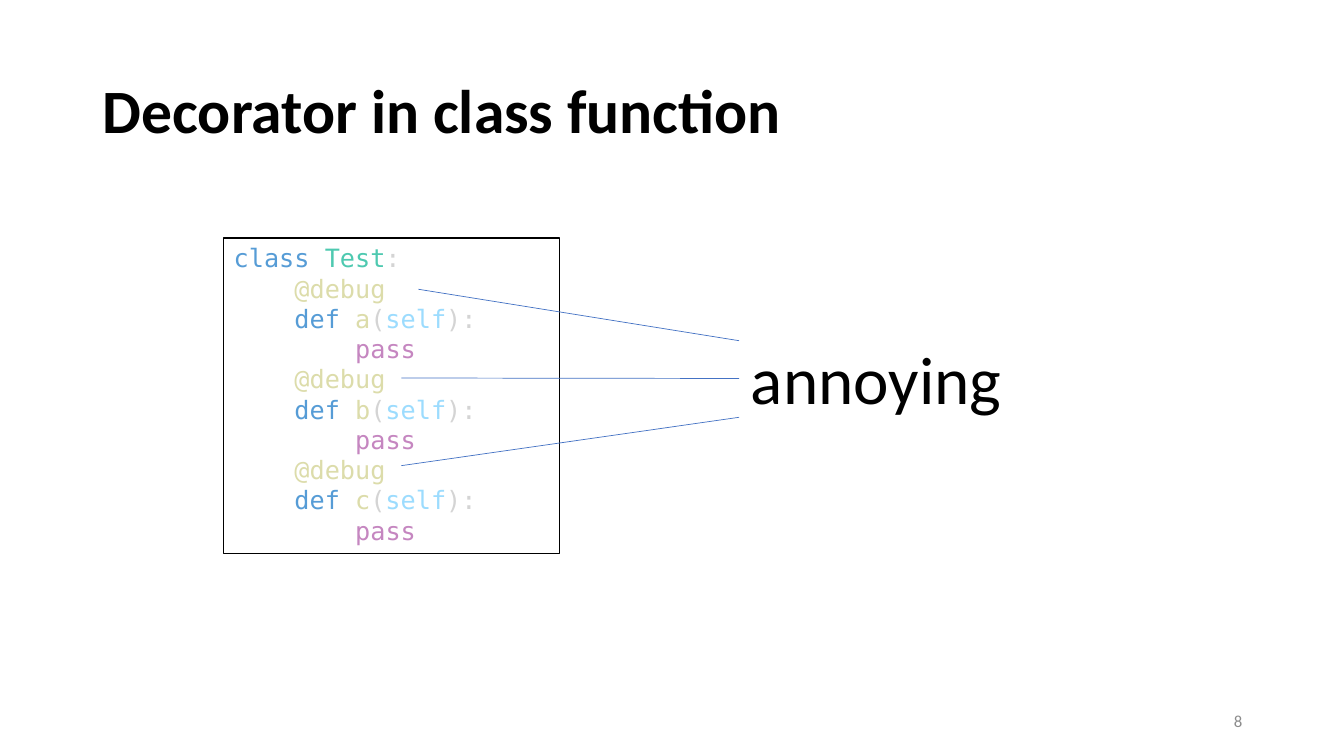
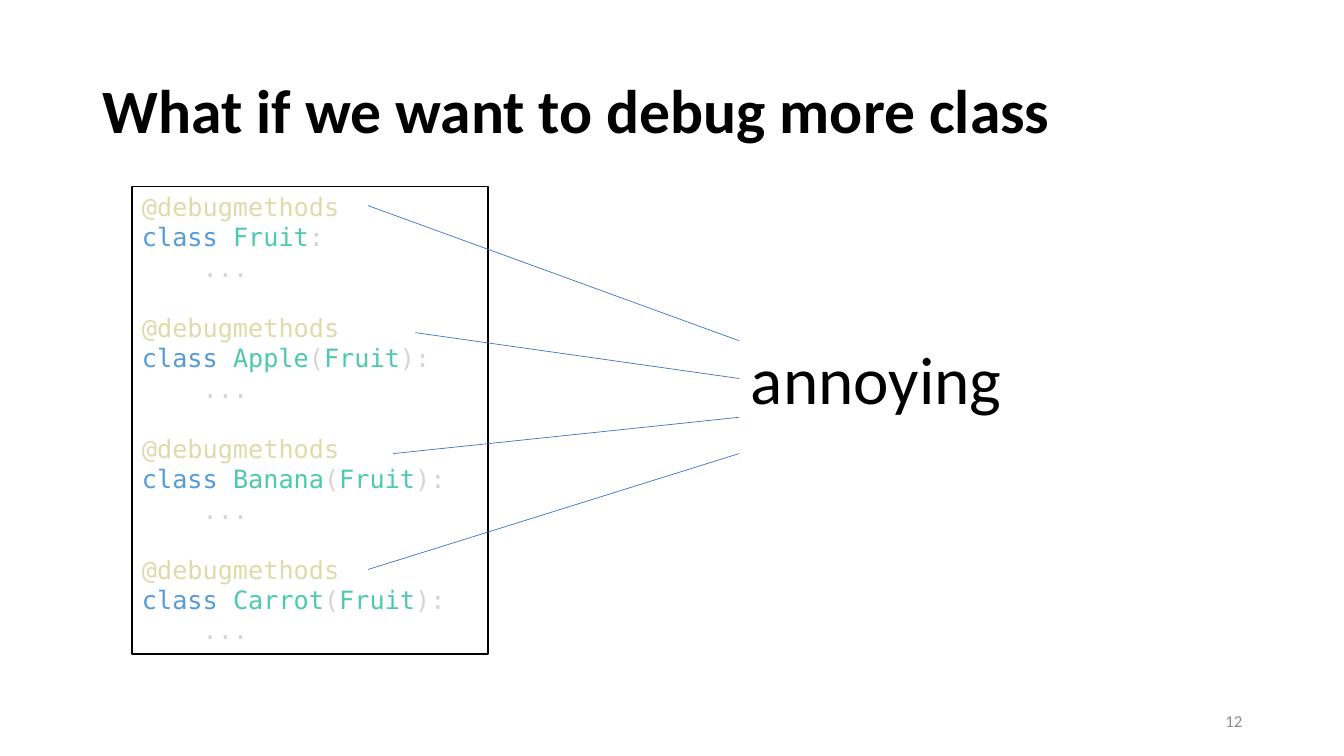
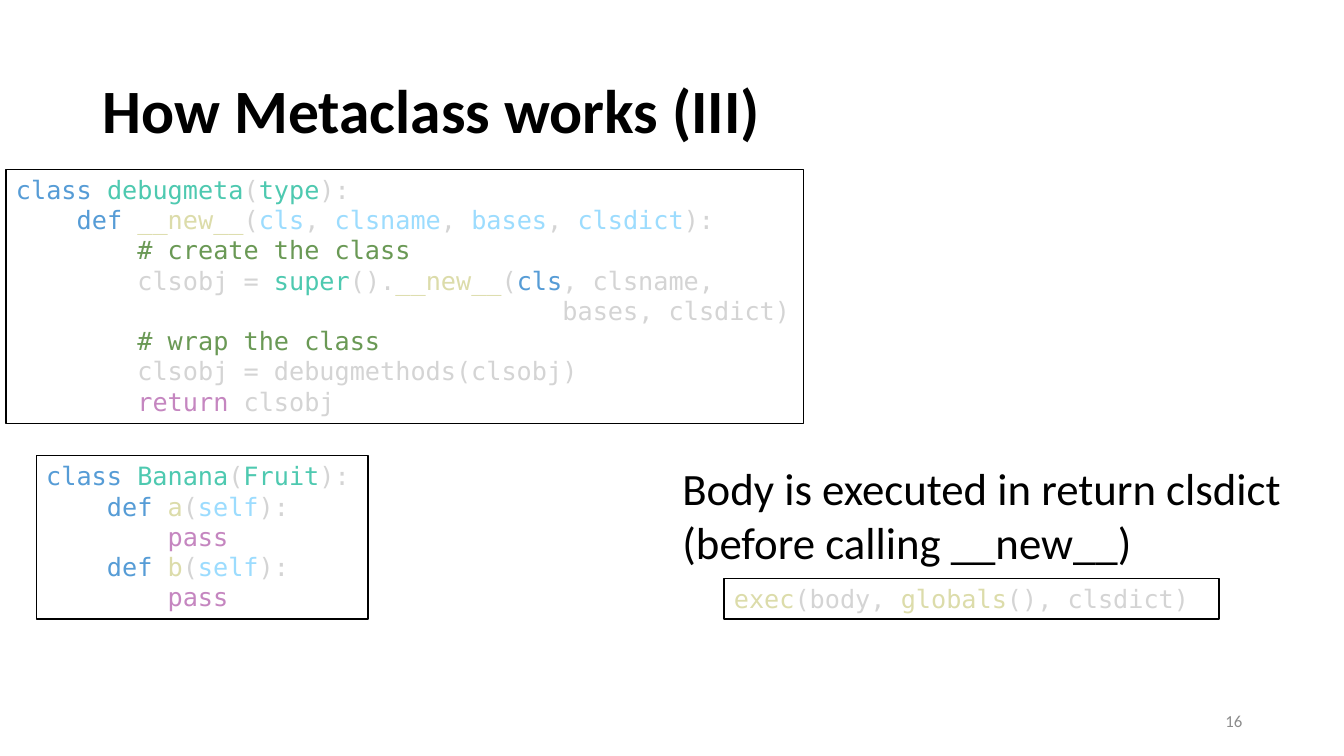
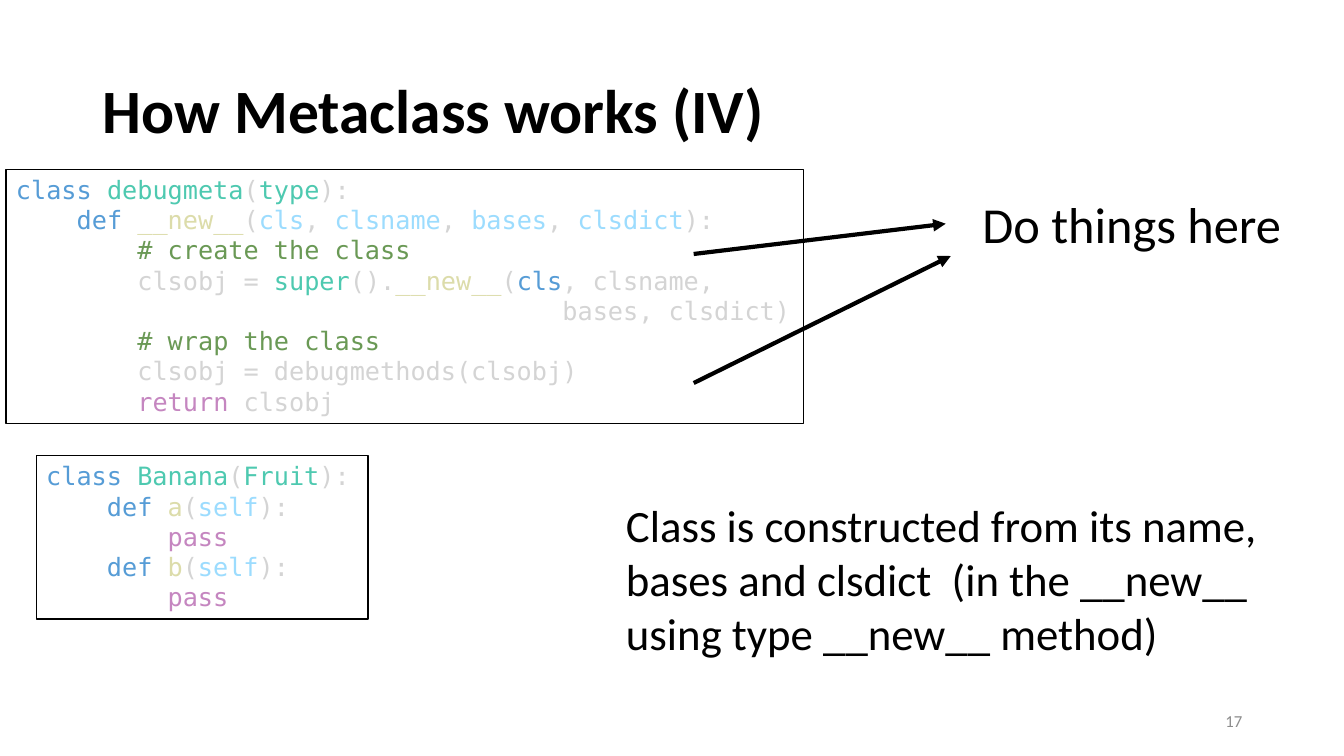
import pptx
import pptx.dml.color
import pptx.enum.shapes
import pptx.enum.text
import pptx.oxml
import pptx.oxml.ns
import pptx.util

Inches = pptx.util.Inches
Pt = pptx.util.Pt
ALIGN = pptx.enum.text.PP_ALIGN
ANCHOR = pptx.enum.text.MSO_ANCHOR
AUTO_SIZE = pptx.enum.text.MSO_AUTO_SIZE

BLACK = "000000"
BLUE = "4472C4"
GRAY = "8C8C8C"
KEYWORD = "569CD6"
TYPE = "4EC9B0"
FUNCTION = "DCDCAA"
PARAMETER = "9CDCFE"
CONTROL = "C586C0"
COMMENT = "6A9955"
PLAIN = "D4D4D4"

CHARACTER_WIDTH = 10.84
CODE_LINE = 21.6


def color(value):
    return pptx.dml.color.RGBColor.from_string(value)


def apply(target, values):
    for name, value in values.items():
        setattr(target, name, value)


def line(indent, *runs, before=0):
    return indent, before, runs


def method(name):
    return [
        line(4, ("def ", KEYWORD), (name, FUNCTION), ("(", PLAIN),
             ("self", PARAMETER), ("):", PLAIN)),
        line(8, ("pass", CONTROL)),
    ]


def class_head(name, base=None):
    if base is None:
        return line(0, ("class ", KEYWORD), (name, TYPE), (":", PLAIN))
    return line(0, ("class ", KEYWORD), (name, TYPE), ("(", PLAIN),
                (base, TYPE), ("):", PLAIN))


class Deck:
    text_font = "Calibri"
    code_font = "DejaVu Sans Mono"

    def __init__(self):
        self.presentation = pptx.Presentation()
        apply(self.presentation, {"slide_width": Inches(13.33), "slide_height": Inches(7.5)})
        self.slide = None

    def add_slide(self, title, number):
        self.slide = self.presentation.slides.add_slide(self.presentation.slide_layouts[6])
        self.text((0.92, 0.4, 11.5, 1.45), [title], 44, bold=True, spacing=0.9,
                  anchor=ANCHOR.MIDDLE, grow=False)
        self.text((9.42, 6.95, 3, 0.4), [str(number)], 12, fill=GRAY, align=ALIGN.RIGHT,
                  anchor=ANCHOR.MIDDLE, grow=False)

    def run(self, paragraph, text, fill, **font):
        run = paragraph.add_run()
        run.text = text
        apply(run.font, font)
        run.font.color.rgb = color(fill)

    def paragraphs(self, frame, count):
        return [frame.paragraphs[0]] + [frame.add_paragraph() for _ in range(count - 1)]

    def text(self, place, lines, size, fill=BLACK, bold=False, align=ALIGN.LEFT,
             anchor=ANCHOR.TOP, spacing=1.0, grow=True):
        shape = self.slide.shapes.add_textbox(*map(Inches, place))
        frame = shape.text_frame
        apply(frame, {
            "word_wrap": not grow,
            "auto_size": AUTO_SIZE.SHAPE_TO_FIT_TEXT if grow else AUTO_SIZE.NONE,
            "vertical_anchor": anchor,
        })
        for paragraph, words in zip(self.paragraphs(frame, len(lines)), lines):
            apply(paragraph, {"alignment": align, "line_spacing": spacing})
            self.run(paragraph, words, fill, name=self.text_font, size=Pt(size), bold=bold)
        return shape

    def code(self, place, lines):
        shape = self.slide.shapes.add_shape(
            pptx.enum.shapes.MSO_SHAPE.RECTANGLE, *map(Inches, place))
        shape.shadow.inherit = False
        shape.fill.background()
        shape.line.color.rgb = color(BLACK)
        shape.line.width = Pt(1)
        frame = shape.text_frame
        apply(frame, {
            "word_wrap": True,
            "auto_size": AUTO_SIZE.SHAPE_TO_FIT_TEXT,
            "vertical_anchor": ANCHOR.TOP,
        })
        for paragraph, (indent, before, runs) in zip(self.paragraphs(frame, len(lines)), lines):
            apply(paragraph, {
                "alignment": ALIGN.LEFT,
                "line_spacing": Pt(CODE_LINE),
                "space_before": Pt(before),
            })
            properties = paragraph._p.get_or_add_pPr()
            properties.set("marL", str(int(Pt(indent * CHARACTER_WIDTH))))
            properties.set("indent", "0")
            for words, fill in runs:
                self.run(paragraph, words, fill, name=self.code_font, size=Pt(18))

    def connector(self, start, end, fill=BLUE, width=0.5, arrow=False, target=None):
        connector = self.slide.shapes.add_connector(
            pptx.enum.shapes.MSO_CONNECTOR.STRAIGHT, *map(Inches, start + end))
        if target is not None:
            connector.end_connect(target, 1)
        connector.line.color.rgb = color(fill)
        connector.line.width = Pt(width)
        if arrow:
            head = pptx.oxml.parse_xml(
                f'<a:tailEnd {pptx.oxml.ns.nsdecls("a")} type="triangle"/>')
            connector.line._get_or_add_ln().append(head)
        connector._element.spPr.append(
            pptx.oxml.parse_xml(f'<a:effectLst {pptx.oxml.ns.nsdecls("a")}/>'))

    def annoying(self, starts):
        label = self.text((7.33, 3.3, 2.72, 0.91), ["annoying"], 48, align=ALIGN.CENTER)
        for index, (start, height) in enumerate(zip(starts, (3.38, 3.75, 4.14, 4.5))):
            self.connector(start, (7.33, height), target=label if index == 1 else None)

    def metaclass(self):
        self.code((0.06, 1.68, 7.91, 2.52), [
            class_head("debugmeta", "type"),
            line(4, ("def ", KEYWORD), ("__new__", FUNCTION), ("(", PLAIN),
                 ("cls", PARAMETER), (", ", PLAIN), ("clsname", PARAMETER), (", ", PLAIN),
                 ("bases", PARAMETER), (", ", PLAIN), ("clsdict", PARAMETER), ("):", PLAIN)),
            line(8, ("# create the class", COMMENT)),
            line(8, ("clsobj = ", PLAIN), ("super", TYPE), ("().", PLAIN),
                 ("__new__", FUNCTION), ("(", PLAIN), ("cls", KEYWORD), (", clsname,", PLAIN)),
            line(36, ("bases, clsdict)", PLAIN)),
            line(8, ("# wrap the class", COMMENT)),
            line(8, ("clsobj = debugmethods(clsobj)", PLAIN)),
            line(8, ("return ", CONTROL), ("clsobj", PLAIN)),
        ])
        self.code((0.36, 4.52, 3.29, 1.62),
                  [class_head("Banana", "Fruit")] + method("a") + method("b"))


def main():
    deck = Deck()

    deck.add_slide("Decorator in class function", 8)
    test_class = [class_head("Test")]
    for name in "abc":
        test_class += [line(4, ("@debug", FUNCTION))] + method(name)
    deck.code((2.22, 2.36, 3.33, 3.13), test_class)
    deck.annoying([(4.15, 2.87), (3.98, 3.75), (3.98, 4.62)])

    deck.add_slide("What if we want to debug more class", 12)
    fruit_classes = []
    for name in ("Fruit", "Apple", "Banana", "Carrot"):
        fruit_classes += [
            line(0, ("@debugmethods", FUNCTION), before=CODE_LINE if fruit_classes else 0),
            class_head(name, "Fruit" if fruit_classes else None),
            line(4, ("...", PLAIN)),
        ]
    deck.code((1.31, 1.85, 3.53, 4.64), fruit_classes)
    deck.annoying([(3.65, 2.04), (4.12, 3.3), (3.9, 4.5), (3.65, 5.65)])

    deck.add_slide("How Metaclass works (III)", 16)
    deck.metaclass()
    deck.text((6.67, 4.52, 6.3, 1.18),
              ["Body is executed in return clsdict", "(before calling __new__)"], 32)
    deck.code((7.18, 5.74, 4.91, 0.4), [
        line(0, ("exec", FUNCTION), ("(body, ", PLAIN), ("globals", FUNCTION),
             ("(), clsdict)", PLAIN)),
    ])

    deck.add_slide("How Metaclass works (IV)", 17)
    deck.metaclass()
    deck.text((6.11, 4.89, 6.54, 1.72), [
        "Class is constructed from its name,",
        "bases and clsdict  (in the __new__",
        "using type __new__ method)",
    ], 32)
    for start, end in (((6.88, 2.52), (9.38, 2.22)), ((6.88, 3.8), (9.43, 2.54))):
        deck.connector(start, end, fill=BLACK, width=3, arrow=True)
    deck.text((9.63, 1.87, 3.19, 0.71), ["Do things here"], 36, align=ALIGN.CENTER)

    deck.presentation.save("out.pptx")


if __name__ == "__main__":
    main()
